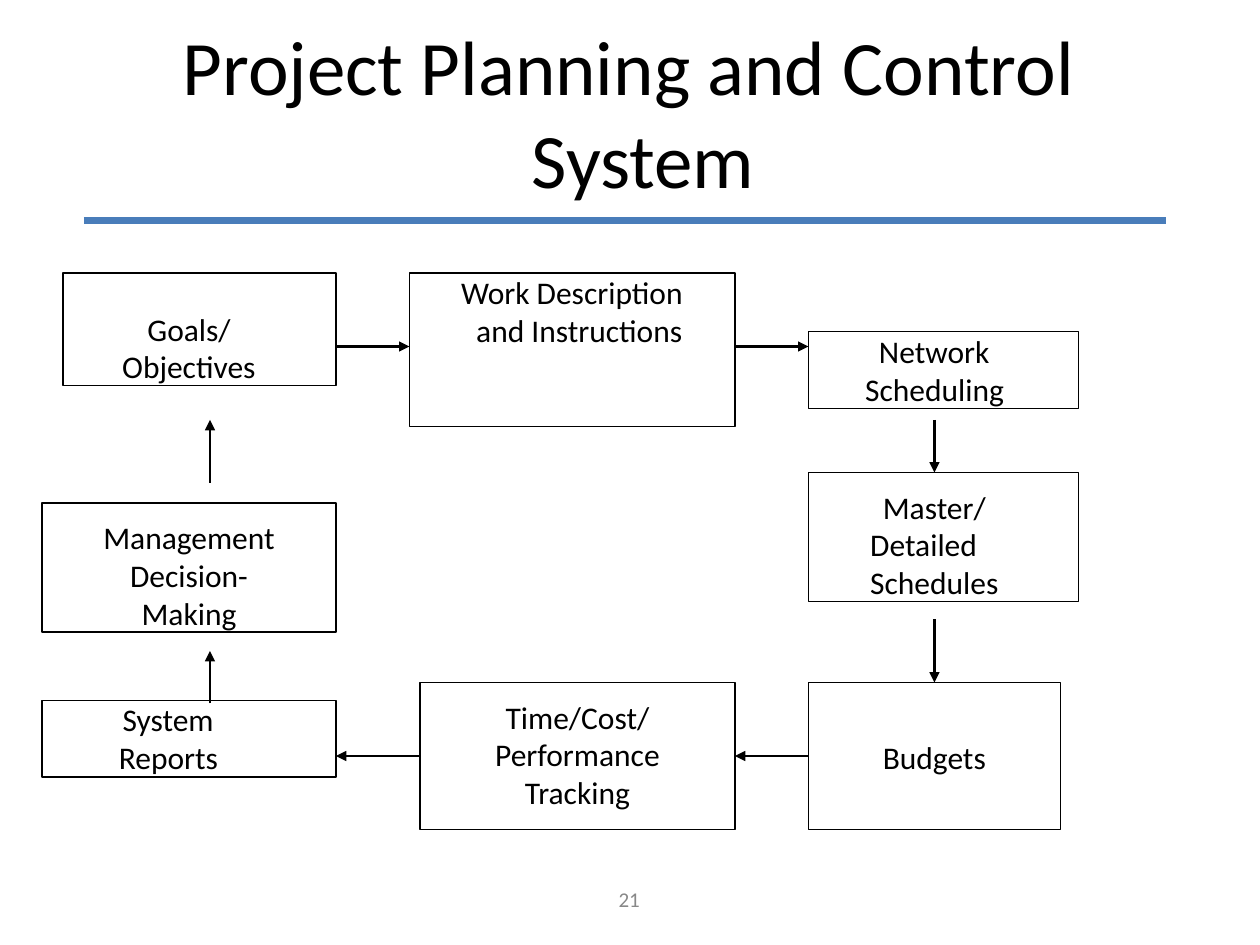
from dataclasses import dataclass

from lxml.etree import SubElement
from pptx import Presentation
from pptx.dml.color import RGBColor
from pptx.enum.shapes import MSO_CONNECTOR, MSO_SHAPE
from pptx.enum.text import MSO_ANCHOR, MSO_AUTO_SIZE, PP_ALIGN
from pptx.oxml.ns import qn
from pptx.util import Inches, Pt


@dataclass(frozen=True)
class Theme:
    font: str = "Calibri"
    ink: RGBColor = RGBColor(0x00, 0x00, 0x00)
    rule: RGBColor = RGBColor(0x49, 0x7D, 0xBA)
    muted: RGBColor = RGBColor(0x88, 0x88, 0x88)
    title_size: float = 44
    body_size: float = 18
    number_size: float = 12
    box_line: float = 0.72
    arrow_line: float = 1.25
    rule_line: float = 3.96


@dataclass(frozen=True)
class Step:
    """A box on the grid; the text offsets are in inches."""
    text: str
    col: float
    row: float
    cols: float
    rows: float
    top: float = 0
    margin: float = 0
    indent: float = 0
    align: PP_ALIGN = PP_ALIGN.LEFT


@dataclass(frozen=True)
class Line:
    """A straight line between two grid points."""
    col1: float
    row1: float
    col2: float
    row2: float


THEME = Theme()
COLS, ROWS = 120, 90
WIDTH, HEIGHT = Inches(10), Inches(7.5)

STEPS = [
    Step("Goals/\vObjectives", 6, 26, 26, 10.7, 0.29, 0.47, 0.2),
    Step("Work Description\vand Instructions", 39, 26, 31, 14.6, 0, 0.53, -0.12),
    Step("Network\vScheduling", 77, 31.6, 25.7, 7.3, 0, 0.45, 0.11),
    Step("Master/\vDetailed\vSchedules", 77, 45, 25.7, 12.3, 0.12, 0.49, 0.1),
    Step("Budgets", 77, 65, 24, 14, 0.44, 0.59),
    Step("Time/Cost/\vPerformance\vTracking", 40, 65, 30, 14, 0.12, align=PP_ALIGN.CENTER),
    Step("System\vReports", 4, 66.7, 28, 7.3, 0, 0.61, 0.03),
    Step("Management\vDecision-\vMaking", 4, 47.9, 28, 12.3, 0.12, align=PP_ALIGN.CENTER),
]
ARROWS = [
    Line(32, 33, 39, 33), Line(70, 33, 77, 33),
    Line(89, 40, 89, 45), Line(89, 59, 89, 65),
    Line(77, 72, 70, 72), Line(40, 72, 32, 72),
    Line(20, 67, 20, 62), Line(20, 46, 20, 40),
]
RULE = Line(8, 21, 111, 21)


def x(col: float) -> int:
    return round(WIDTH * col / COLS)


def y(row: float) -> int:
    return round(HEIGHT * row / ROWS)


def write(s, text: str, size: float, color: RGBColor, top: float = 0,
          margin: float = 0, indent: float = 0, align=PP_ALIGN.LEFT) -> None:
    """Fill a shape with one paragraph, its first line offset by the indent."""
    tf = s.text_frame
    frame = {"word_wrap": True, "auto_size": MSO_AUTO_SIZE.NONE,
             "vertical_anchor": MSO_ANCHOR.TOP, "margin_left": 0,
             "margin_right": 0, "margin_top": Inches(top), "margin_bottom": 0}
    for name, value in frame.items():
        setattr(tf, name, value)
    p = tf.paragraphs[0]
    p.text = text
    p.alignment = align
    pPr = p._p.get_or_add_pPr()
    pPr.set("marL", str(Inches(margin)))
    pPr.set("indent", str(Inches(indent)))
    for r in p.runs:
        for name, value in {"name": THEME.font, "size": Pt(size)}.items():
            setattr(r.font, name, value)
        r.font.color.rgb = color


def add_step(slide, step: Step) -> None:
    s = slide.shapes.add_shape(MSO_SHAPE.RECTANGLE, x(step.col), y(step.row),
                               x(step.cols), y(step.rows))
    s.shadow.inherit = False
    s.fill.background()
    s.line.color.rgb = THEME.ink
    s.line.width = Pt(THEME.box_line)
    write(s, step.text, THEME.body_size, THEME.ink, step.top,
          step.margin, step.indent, step.align)


def add_line(slide, line: Line, color: RGBColor, width: float, arrow: bool) -> None:
    s = slide.shapes.add_connector(MSO_CONNECTOR.STRAIGHT, x(line.col1), y(line.row1),
                                   x(line.col2), y(line.row2))
    s.line.color.rgb = color
    s.line.width = Pt(width)
    if arrow:
        SubElement(s.line._get_or_add_ln(), qn("a:tailEnd"), type="triangle")
    SubElement(s._element.spPr, qn("a:effectLst"))


def main() -> None:
    prs = Presentation()
    prs.slide_width, prs.slide_height = WIDTH, HEIGHT
    slide = prs.slides.add_slide(prs.slide_layouts[5])

    # Title and rule
    title = slide.shapes.title
    place = {"left": Inches(1.44), "top": Inches(0.14),
             "width": Inches(7.3), "height": Inches(1.5)}
    for name, value in place.items():
        setattr(title, name, value)
    write(title, "Project Planning and Control\vSystem", THEME.title_size,
          THEME.ink, 0.01, 2.78, -2.77)
    add_line(slide, RULE, THEME.rule, THEME.rule_line, arrow=False)

    # Planning cycle
    for step in STEPS:
        add_step(slide, step)
    for arrow in ARROWS:
        add_line(slide, arrow, THEME.ink, THEME.arrow_line, arrow=True)

    # Page number
    number = slide.shapes.add_textbox(Inches(4.9), Inches(7.03), Inches(0.2), Inches(0.23))
    write(number, "21", THEME.number_size, THEME.muted, 0.01, 0.01)

    prs.save("out.pptx")


if __name__ == "__main__":
    main()
